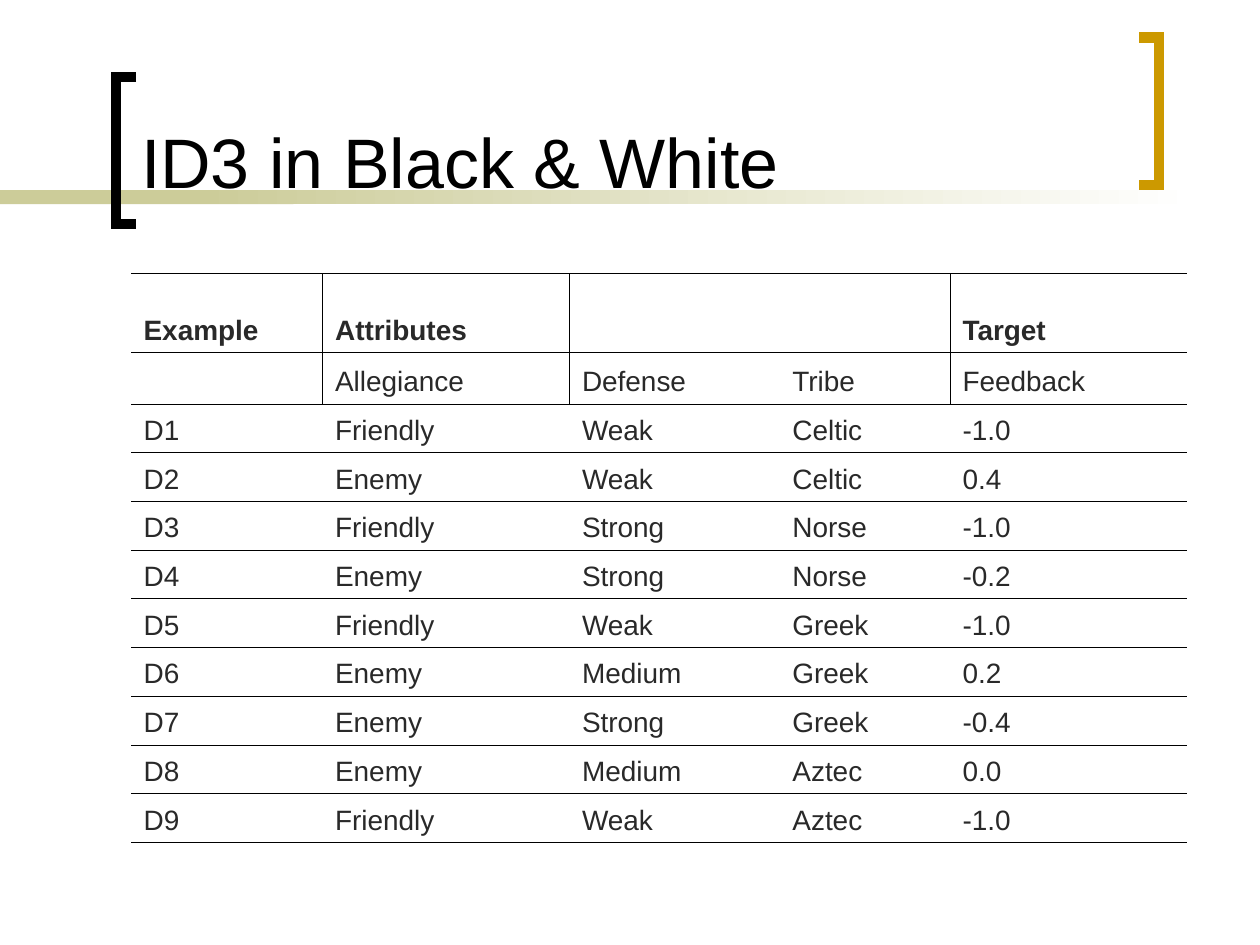
from lxml.etree import SubElement
from pptx import Presentation
from pptx.dml.color import RGBColor
from pptx.enum.shapes import MSO_SHAPE
from pptx.enum.text import MSO_ANCHOR, MSO_AUTO_SIZE, PP_ALIGN
from pptx.oxml.ns import qn
from pptx.util import Inches, Pt

BLACK = RGBColor(0x00, 0x00, 0x00)
WHITE = RGBColor(0xFF, 0xFF, 0xFF)
GOLD = RGBColor(0xCC, 0x99, 0x00)
SAND = RGBColor(0xCC, 0xCC, 0x99)
CHARCOAL = RGBColor(0x29, 0x29, 0x29)
NO_GRID_STYLE = "{2D5ABB26-0587-4C30-8999-92F81FD0307C}"

ROWS = [
    ["Example", "Attributes", "", "", "Target"],
    ["", "Allegiance", "Defense", "Tribe", "Feedback"],
    ["D1", "Friendly", "Weak", "Celtic", "-1.0"],
    ["D2", "Enemy", "Weak", "Celtic", "0.4"],
    ["D3", "Friendly", "Strong", "Norse", "-1.0"],
    ["D4", "Enemy", "Strong", "Norse", "-0.2"],
    ["D5", "Friendly", "Weak", "Greek", "-1.0"],
    ["D6", "Enemy", "Medium", "Greek", "0.2"],
    ["D7", "Enemy", "Strong", "Greek", "-0.4"],
    ["D8", "Enemy", "Medium", "Aztec", "0.0"],
    ["D9", "Friendly", "Weak", "Aztec", "-1.0"],
]
COL_WIDTHS = [1.52, 1.96, 1.67, 1.35, 1.88]
TABLE_HEIGHT, HEADER_HEIGHT = 4.5, 0.63


def add_text(p, text, **font):
    r = p.add_run()
    r.text = text
    for name, value in {"name": "Arial", **font}.items():
        setattr(r.font, name, value)
    return r


def add_border(cell, side):
    ln = SubElement(cell._tc.get_or_add_tcPr(), qn(f"a:ln{side}"), w=str(Pt(0.45)))
    fill = SubElement(ln, qn("a:solidFill"))
    SubElement(fill, qn("a:srgbClr"), val=str(BLACK))


prs = Presentation()
prs.slide_width, prs.slide_height = Inches(10), Inches(7.5)
s = prs.slides.add_slide(prs.slide_layouts[5])

# Band under the title: a solid part, then one that fades to white
for left, width, fades in [(0, 2.33, False), (1.58, 7.92, True)]:
    band = s.shapes.add_shape(MSO_SHAPE.RECTANGLE, Inches(left), Inches(1.51),
                              Inches(width), Inches(0.11))
    band.shadow.inherit = False
    band.line.fill.background()
    if fades:
        band.fill.gradient()
        band.fill.gradient_angle = 0
        for stop, color in zip(band.fill.gradient_stops, (SAND, WHITE)):
            stop.color.rgb = color
    else:
        band.fill.solid()
        band.fill.fore_color.rgb = SAND

# Square brackets around the title
for tip, spine, top, color in [(1.08, 0.92, 0.61, BLACK), (9.04, 9.2, 0.3, GOLD)]:
    bottom = top + 1.17
    builder = s.shapes.build_freeform(Inches(tip), Inches(top))
    builder.add_line_segments(
        [(Inches(x), Inches(y)) for x, y in [(spine, top), (spine, bottom), (tip, bottom)]],
        close=False)
    bracket = builder.convert_to_shape()
    bracket.shadow.inherit = False
    bracket.fill.background()
    bracket.line.color.rgb = color
    bracket.line.width = Pt(6)
    SubElement(bracket.line._get_or_add_ln(), qn("a:miter"), lim="800000")

title = s.shapes.title
title.left, title.top = Inches(1.02), Inches(0.11)
title.width, title.height = Inches(7.83), Inches(1.55)
s.shapes._spTree.append(title._element)  # in front of the band
tf = title.text_frame
tf.auto_size = MSO_AUTO_SIZE.NONE
tf.vertical_anchor = MSO_ANCHOR.BOTTOM
p = tf.paragraphs[0]
p.alignment = PP_ALIGN.LEFT
add_text(p, "ID3 in Black & White", size=Pt(40)).font.color.rgb = BLACK

table = s.shapes.add_table(len(ROWS), len(COL_WIDTHS), Inches(1.04), Inches(2.17),
                           Inches(sum(COL_WIDTHS)), Inches(TABLE_HEIGHT)).table
table.first_row = table.horz_banding = False
table._tbl.tblPr.find(qn("a:tableStyleId")).text = NO_GRID_STYLE
for column, width in zip(table.columns, COL_WIDTHS):
    column.width = Inches(width)
body_height = (TABLE_HEIGHT - HEADER_HEIGHT) / (len(ROWS) - 1)

for i, row in enumerate(ROWS):
    table.rows[i].height = Inches(body_height if i else HEADER_HEIGHT)
    for j, text in enumerate(row):
        cell = table.cell(i, j)
        cell.vertical_anchor = MSO_ANCHOR.BOTTOM
        # The two header rows are split into example, attributes and target
        if i < 2 and j in (1, 4):
            add_border(cell, "L")
        if i < 2 and j in (0, 3):
            add_border(cell, "R")
        add_border(cell, "T")
        add_border(cell, "B")
        cell.fill.background()
        if text:
            p = cell.text_frame.paragraphs[0]
            pPr = p._p.get_or_add_pPr()
            pPr.set("marL", str(Inches(0.49)))
            pPr.set("indent", str(Inches(-0.49)))
            r = add_text(p, text, size=Pt(16), bold=i == 0)
            r.font.color.rgb = CHARCOAL

prs.save("out.pptx")
